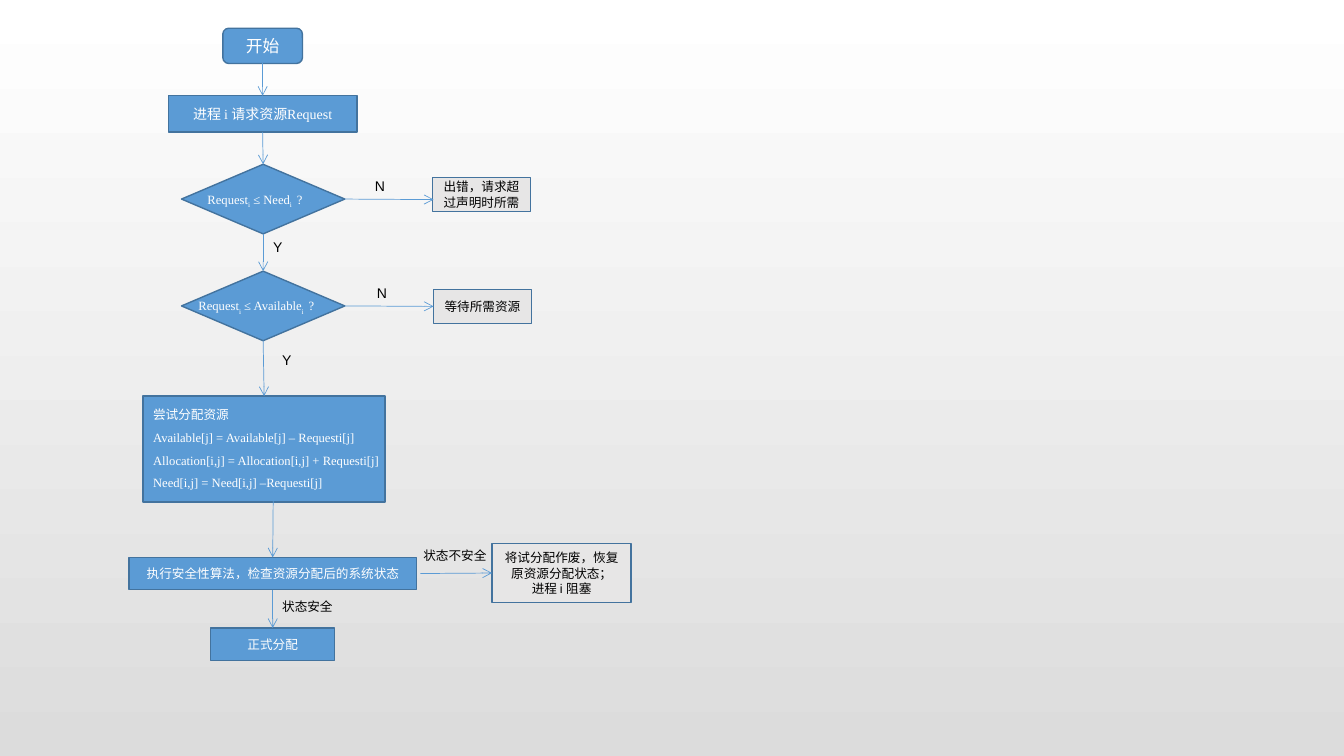
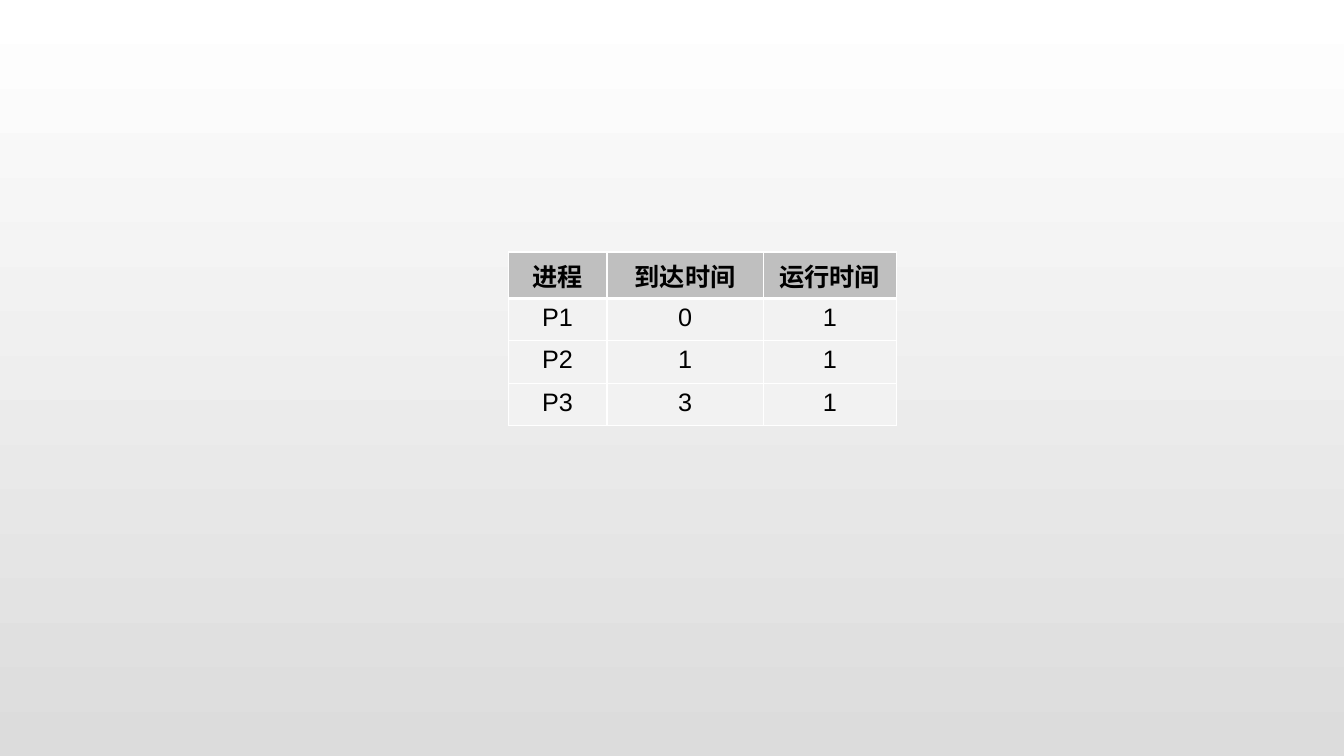
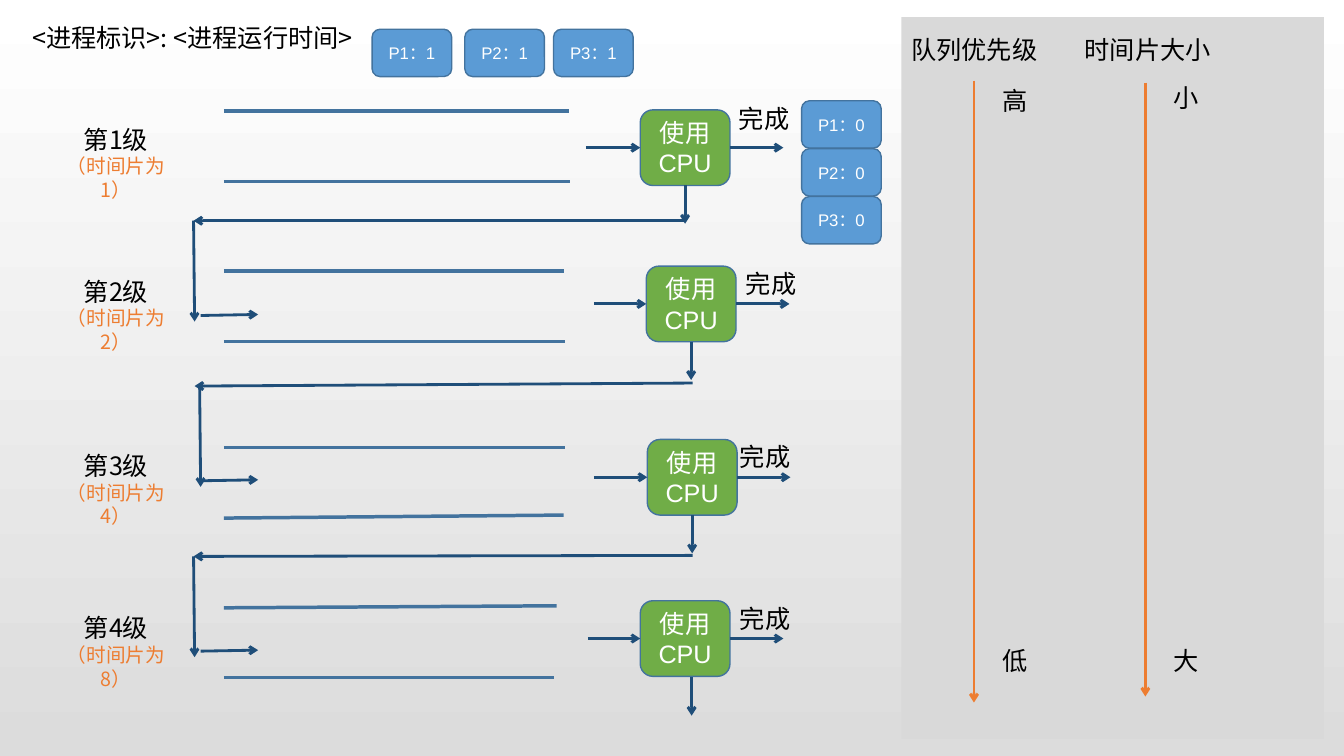
from collections import namedtuple

from lxml.etree import SubElement
from pptx import Presentation
from pptx.dml.color import RGBColor
from pptx.enum.shapes import MSO_CONNECTOR, MSO_SHAPE
from pptx.enum.text import MSO_ANCHOR, MSO_AUTO_SIZE, PP_ALIGN
from pptx.oxml.ns import qn
from pptx.oxml.xmlchemy import OxmlElement
from pptx.util import Inches, Pt

WHITE = RGBColor(0xFF, 0xFF, 0xFF)
BLACK = RGBColor(0, 0, 0)
BG_END = RGBColor(0xDC, 0xDC, 0xDC)
BLUE = RGBColor(0x5B, 0x9B, 0xD5)
EDGE = RGBColor(0x43, 0x73, 0x9E)
NAVY = RGBColor(0x1F, 0x4E, 0x79)
GREEN = RGBColor(0x70, 0xAD, 0x47)
ORANGE = RGBColor(0xED, 0x7D, 0x31)
PALE = RGBColor(0xE7, 0xE6, 0xE6)
PANEL = RGBColor(0xD9, 0xD9, 0xD9)
HEAD_FILL = RGBColor(0xBF, 0xBF, 0xBF)
BODY_FILL = RGBColor(0xF2, 0xF2, 0xF2)

ARIAL, SERIF, CJK = "Arial", "Times New Roman", "Noto Sans CJK SC"

ON_BLUE = {"size": 9, "name": ARIAL, "color": WHITE}
ON_PALE = {**ON_BLUE, "color": BLACK}
FORMULA = {**ON_BLUE, "name": SERIF}
BRANCH = {**ON_PALE, "size": 10}
CHIP = {**ON_BLUE, "size": 12}
CPU = {**ON_BLUE, "size": 18}
DONE = {**ON_PALE, "size": 18}
LABEL = {**DONE, "name": CJK}
SLICE = {"size": 14, "color": ORANGE}
SUB = {"baseline": -25000}

STEP = {"color": BLUE, "width": 0.5}
FLOW = {"color": NAVY, "width": 2}
SCALE = {"color": ORANGE, "width": 2}
RAIL = {"color": EDGE, "width": 2.5}

Joint = namedtuple("Joint", "sp site")
Level = namedtuple("Level", "name slice label_y rails feed_x cpu done back")

# rails: end x, start y, end y; back: start x and y, corner x and y, down x
LEVELS = [
    Level("第1级", 1, 1.18, [(5.64, 1.1, 1.1), (5.65, 1.8, 1.8)], 5.81,
          (6.35, 1.09), (7.23, 0.98), (6.79, 2.19, 1.92, 2.19, 1.92)),
    Level("第2级", 2, 2.69, [(5.59, 2.69, 2.69), (5.6, 3.39, 3.39)], 5.89,
          (6.41, 2.64), (7.3, 2.61), (6.87, 3.8, 1.93, 3.83, 1.98)),
    Level("第3级", 4, 4.42, [(5.6, 4.44, 4.44), (5.59, 5.14, 5.11)], 5.89,
          (6.42, 4.36), (7.24, 4.33), (6.87, 5.51, 1.92, 5.52, 1.92)),
    Level("第4级", 8, 6.03, [(5.52, 6.03, 6.01), (5.49, 6.72, 6.72)], 5.83,
          (6.35, 5.96), (7.24, 5.94), None),
]


def format_run(r, fmt):
    f = r.font
    f.size, f.name, f.color.rgb = Pt(fmt["size"]), fmt["name"], fmt["color"]
    f.bold = fmt.get("bold", False)
    rPr = r._r.get_or_add_rPr()
    SubElement(rPr, qn("a:ea")).set("typeface", CJK)
    if "baseline" in fmt:
        rPr.set("baseline", str(fmt["baseline"]))


def write(tf, paragraphs, fmt, align=PP_ALIGN.LEFT):
    """Fill tf; a paragraph is a string or a list of (text, overrides)."""
    for i, runs in enumerate(paragraphs):
        p = tf.add_paragraph() if i else tf.paragraphs[0]
        p.alignment = align
        for text, extra in [(runs, {})] if isinstance(runs, str) else runs:
            r = p.add_run()
            r.text = text
            format_run(r, {**fmt, **extra})


def box(s, kind, at, fill, paragraphs=(), fmt=None, edge=EDGE):
    sp = s.shapes.add_shape(kind, *map(Inches, at))
    sp.shadow.inherit = False
    sp.fill.solid()
    sp.fill.fore_color.rgb = fill
    if edge is None:
        sp.line.fill.background()
    else:
        sp.line.color.rgb, sp.line.width = edge, Pt(1)
    sp.text_frame.vertical_anchor = MSO_ANCHOR.MIDDLE
    write(sp.text_frame, paragraphs, fmt, PP_ALIGN.CENTER)
    return sp


def text(s, at, paragraphs, fmt, align=PP_ALIGN.LEFT):
    sp = s.shapes.add_textbox(*map(Inches, at))
    tf = sp.text_frame
    tf.word_wrap, tf.auto_size = True, MSO_AUTO_SIZE.SHAPE_TO_FIT_TEXT
    write(tf, paragraphs, fmt, align)
    return sp


def line(s, start, end, fmt, arrow=True):
    """Draw a straight line; each end is an (x, y) point or a Joint."""
    points = [(0, 0) if isinstance(e, Joint) else e for e in (start, end)]
    cx = s.shapes.add_connector(
        MSO_CONNECTOR.STRAIGHT, *(Inches(v) for pt in points for v in pt))
    if isinstance(start, Joint):
        cx.begin_connect(*start)
    if isinstance(end, Joint):
        cx.end_connect(*end)
    cx.line.color.rgb, cx.line.width = fmt["color"], Pt(fmt["width"])
    if arrow:
        SubElement(cx.line._get_or_add_ln(), qn("a:tailEnd")).set("type", "arrow")
    SubElement(cx._element.spPr, qn("a:effectLst"))


def set_borders(cell, widths):
    """Set white borders; widths are points for left, right, top, bottom."""
    tcPr = cell._tc.get_or_add_tcPr()
    for i, (side, width) in enumerate(zip("LRTB", widths)):
        ln = OxmlElement(f"a:ln{side}")
        ln.set("w", str(Pt(width)))
        fill = SubElement(ln, qn("a:solidFill"))
        SubElement(fill, qn("a:srgbClr")).set("val", str(WHITE))
        tcPr.insert(i, ln)


def set_background(master):
    fill = master.background.fill
    fill.gradient()
    fill.gradient_angle = 270
    for stop, color in zip(fill.gradient_stops, (WHITE, BG_END)):
        stop.color.rgb = color


def decision(s, y, text_x, limit):
    sp = box(s, MSO_SHAPE.DIAMOND, (1.8, y, 1.62, 0.69), BLUE)
    text(s, (text_x, y + 0.22, 2.83, 0.25),
         [[("Request", {}), ("i", SUB), (f" ≤ {limit}", {}), ("i ", SUB),
           (" ?", {})]], FORMULA)
    return sp


def request_flowchart(s):
    rect = MSO_SHAPE.RECTANGLE
    begin = box(s, MSO_SHAPE.ROUNDED_RECTANGLE, (2.21, 0.28, 0.79, 0.35), BLUE,
                ["开始"], CHIP)
    request = box(s, rect, (1.67, 0.95, 1.87, 0.36), BLUE,
                  ["进程 i 请求资源Request"], {**FORMULA, "size": 10})
    box(s, rect, (4.29, 1.76, 0.97, 0.34), PALE,
        ["出错，请求超过声明时所需"], ON_PALE)
    wait = box(s, rect, (4.3, 2.87, 0.97, 0.34), PALE, ["等待所需资源"], ON_PALE)
    undo = box(s, rect, (4.88, 5.39, 1.38, 0.59), PALE,
               ["将试分配作废，恢复原资源分配状态；", "进程 i 阻塞"], ON_PALE)
    check = box(s, rect, (1.28, 5.53, 2.85, 0.32), BLUE,
                ["执行安全性算法，检查资源分配后的系统状态"], ON_BLUE)
    grant = box(s, rect, (2.09, 6.23, 1.23, 0.32), BLUE, ["正式分配"], ON_BLUE)
    need = decision(s, 1.63, 1.96, "Need")
    available = decision(s, 2.69, 1.87, "Available")
    trial = box(s, rect, (1.42, 3.93, 2.4, 1.05), BLUE)
    updates = text(s, (1.42, 3.99, 2.58, 0.93), [
        "尝试分配资源",
        "Available[j] = Available[j] – Requesti[j]",
        "Allocation[i,j] = Allocation[i,j] + Requesti[j]",
        "Need[i,j] = Need[i,j] –Requesti[j]"], FORMULA)
    for p in updates.text_frame.paragraphs[1:]:
        p.line_spacing = 1.5

    for upper, lower in [(begin, request), (request, need), (need, available),
                         (available, trial), (updates, check), (check, grant)]:
        line(s, Joint(upper, 2), Joint(lower, 0), STEP)
    line(s, Joint(need, 3), (4.3, 1.98), STEP)
    line(s, Joint(available, 3), Joint(wait, 1), STEP)
    line(s, (4.17, 5.69), Joint(undo, 1), STEP)

    for x, y, answer in [(3.62, 1.71, "N"), (3.64, 2.77, "N"),
                         (2.61, 2.32, "Y"), (2.7, 3.44, "Y")]:
        text(s, (x, y, 0.48, 0.27), [answer], BRANCH)
    for x, y, state in [(2.7, 5.89, "状态安全"), (4.1, 5.39, "状态不安全")]:
        text(s, (x, y, 1.11, 0.25), [state], ON_PALE)


def process_table(s):
    rows = [("进程", "到达时间", "运行时间"),
            ("P1", "0", "1"), ("P2", "1", "1"), ("P3", "3", "1")]
    widths = (0.98, 1.55, 1.32)
    table = s.shapes.add_table(len(rows), len(widths), Inches(5.04), Inches(2.5),
                               Inches(sum(widths)), Inches(0.42 * len(rows))).table
    for col, width in zip(table.columns, widths):
        col.width = Inches(width)
    for i, values in enumerate(rows):
        head = i == 0
        for j, value in enumerate(values):
            cell = table.cell(i, j)
            cell.fill.solid()
            cell.fill.fore_color.rgb = HEAD_FILL if head else BODY_FILL
            set_borders(cell, (1, 1, 3 if i == 1 else 1, 3 if head else 1))
            write(cell.text_frame, [value], {**DONE, "bold": head},
                  PP_ALIGN.CENTER)


def chip(s, x, y, label):
    box(s, MSO_SHAPE.ROUNDED_RECTANGLE, (x, y, 0.79, 0.47), BLUE, [label], CHIP)


def queue_level(s, lv):
    for x, y1, y2 in lv.rails:
        line(s, (2.22, y1), (x, y2), RAIL, arrow=False)
    text(s, (0.49, lv.label_y, 1.32, 0.64),
         [lv.name, [(f"（时间片为{lv.slice}）", SLICE)]], LABEL, PP_ALIGN.CENTER)
    x, y = lv.cpu
    w, h = 0.89, 0.75
    cpu = box(s, MSO_SHAPE.ROUNDED_RECTANGLE, (x, y, w, h), GREEN,
              ["使用CPU"], CPU)
    line(s, (lv.feed_x, y + h / 2), Joint(cpu, 1), FLOW)
    line(s, Joint(cpu, 3), (x + w + 0.53, y + h / 2), FLOW)
    text(s, (*lv.done, 0.83, 0.4), ["完成"], DONE)
    if lv.back:
        line(s, Joint(cpu, 2), (x + w / 2, y + h + 0.38), FLOW)
        x1, y1, x2, y2, down_x = lv.back
        line(s, (x1, y1), (x2, y2), FLOW)
        line(s, (down_x, y2), (down_x + 0.01, y2 + 1), FLOW)
        line(s, (1.99, y2 + 0.94), (2.56, y2 + 0.93), FLOW)


def feedback_queues(s):
    box(s, MSO_SHAPE.RECTANGLE, (8.94, 0.17, 4.19, 7.16), PANEL, edge=None)
    for x, top, bottom, title_x, title, first, first_y, last in [
            (9.66, 0.8, 6.97, 8.94, "队列优先级", "高", 0.8, "低"),
            (11.36, 0.82, 6.91, 10.66, "时间片大小", "小", 0.77, "大")]:
        line(s, (x, top), (x, bottom), SCALE)
        text(s, (title_x, 0.29, 1.65, 0.4), [title], LABEL)
        for y, word in [(first_y, first), (6.35, last)]:
            text(s, (x + 0.18, y, 0.6, 0.4), [word], LABEL)

    for lv in LEVELS:
        queue_level(s, lv)
    line(s, (6.86, 6.72), (6.86, 7.1), FLOW)

    text(s, (0.22, 0.17, 3.54, 0.4), ["<进程标识>: <进程运行时间>"], LABEL)
    for i, x in enumerate((3.69, 4.61, 5.49)):
        chip(s, x, 0.29, f"P{i + 1}：1")
        chip(s, 7.95, 1 + 0.475 * i, f"P{i + 1}：0")


def main():
    prs = Presentation()
    prs.slide_width, prs.slide_height = Inches(13.33), Inches(7.5)
    set_background(prs.slide_master)
    blank = prs.slide_layouts[6]
    for build in (request_flowchart, process_table, feedback_queues):
        build(prs.slides.add_slide(blank))
    prs.save("out.pptx")


if __name__ == "__main__":
    main()
